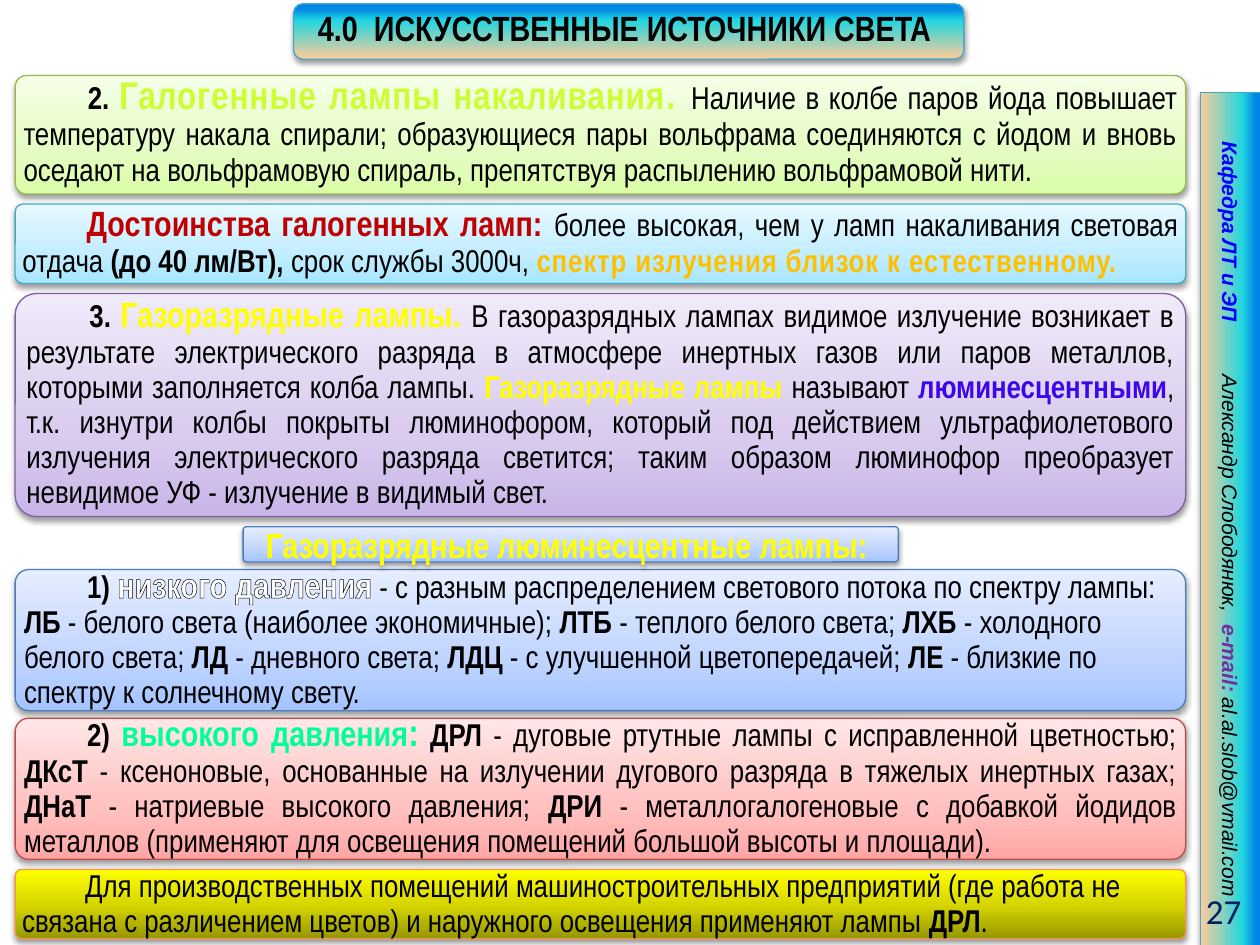
from copy import deepcopy
from dataclasses import dataclass

from pptx import Presentation
from pptx.dml.color import RGBColor
from pptx.enum.shapes import MSO_SHAPE
from pptx.enum.text import MSO_ANCHOR, PP_ALIGN
from pptx.oxml import parse_xml
from pptx.oxml.ns import nsdecls, qn
from pptx.util import Inches, Pt

RECT, ROUNDED = MSO_SHAPE.RECTANGLE, MSO_SHAPE.ROUNDED_RECTANGLE
MIDDLE = MSO_ANCHOR.MIDDLE
LEFT, CENTER, RIGHT, JUSTIFY = (PP_ALIGN.LEFT, PP_ALIGN.CENTER,
                                PP_ALIGN.RIGHT, PP_ALIGN.JUSTIFY)

rgb = RGBColor.from_string
BLACK, WHITE, RED = rgb("000000"), rgb("FFFFFF"), rgb("FF0000")
YELLOW, LIME, MINT = rgb("FFFF00"), rgb("CCFF33"), rgb("00FF99")
AMBER, CRIMSON, VIOLET = rgb("FFC000"), rgb("C00000"), rgb("3D07E9")
BLUE, PURPLE, NAVY = rgb("0000FF"), rgb("7030A0"), rgb("002060")


@dataclass
class Style:
    size: float = 18
    color: RGBColor = BLACK
    bold: bool = False
    italic: bool = False
    outline: RGBColor = None
    spacing: float = 0
    font: str = "Arial Narrow"


PLAIN, BOLD = Style(), Style(bold=True)
TITLE = Style(20, bold=True)
HALOGEN = Style(22, LIME, True, outline=BLACK, spacing=0.5)
HALOGEN_STOP = Style(22, LIME, True, outline=BLACK, spacing=1.4)
MERITS = Style(20, CRIMSON, True)
SPECTRUM = Style(18, AMBER, True, outline=BLACK, spacing=0.5)
DISCHARGE = Style(20, YELLOW, True, outline=RED)
DISCHARGE_INLINE = Style(18, YELLOW, True, outline=RED)
LUMINESCENT = Style(18, VIOLET, True, outline=RED)
LOW_PRESSURE = Style(20, WHITE, True, outline=BLACK)
HIGH_PRESSURE = Style(20, MINT, True, outline=BLACK)
HIGH_PRESSURE_COLON = Style(22, MINT, True, outline=BLACK)
DEPARTMENT = Style(12, BLUE, True, True, font="Arial")
SIDE_GAP = Style(12, BLUE, True, True, spacing=26.7, font="Arial")
AUTHOR = Style(12, italic=True, font="Arial")
MAIL_LABEL = Style(12, PURPLE, True, True, font="Arial")
PAGE_NUMBER = Style(20, NAVY, font="Calibri")

# (gradient stops from bottom to top, border colour)
SUNRISE = ([(0, "FFCC99"), (0.7, "21D6E0"), (0.91, "0087E6")], "46AAC5")
GREEN = ([(0, "DAFDA7"), (0.35, "E4FCC2"), (1, "F5FFE7")], "98B955")
CYAN = ([(0, "A7E6FF"), (0.35, "C1EDFF"), (1, "E7F8FF")], "46AAC5")
LILAC = ([(0, "C9B5E8"), (0.35, "D8CBEE"), (1, "F0EAF9")], "7D60A0")
SKY = ([(0, "A4C4FF"), (0.35, "BFD4FF"), (1, "E6EEFF")], "4B7EBC")
ROSE = ([(0, "FFA6A5"), (0.35, "FFC0BF"), (1, "FFE7E7")], "BF4C48")
GOLD = ([(0, "979700"), (0.5, "D7D700"), (1, "FFFF00")], "F79646")

heading = [("4.0  ИСКУССТВЕННЫЕ ИСТОЧНИКИ СВЕТА ", TITLE)]
subheading = [("Газоразрядные люминесцентные лампы: ", DISCHARGE)]
sidebar_text = [
    ("Кафедра ЛТ и ЭП", DEPARTMENT), (" ", SIDE_GAP),
    ("Александр Слободянюк,  ", AUTHOR), ("e-mail: ", MAIL_LABEL),
    ("al.al.slob@vmail.com", AUTHOR),
]

# (top, height, palette, alignment, first-line indent, runs)
cards = [
    (0.6, 0.94, GREEN, JUSTIFY, 0.51, [
        ("2. ", BOLD), ("Галогенные лампы накаливания", HALOGEN), (". ", HALOGEN_STOP),
        ("Наличие в колбе паров йода повышает температуру накала спирали; "
         "образующиеся пары вольфрама соединяются с йодом и вновь оседают на "
         "вольфрамовую спираль, препятствуя распылению вольфрамовой нити. ", PLAIN)]),
    (1.62, 0.63, CYAN, JUSTIFY, 0.51, [
        ("Достоинства галогенных ламп: ", MERITS),
        ("более высокая, чем у ламп накаливания световая отдача ", PLAIN),
        ("(до 40 лм/Вт), ", BOLD), ("срок службы 3000ч, ", PLAIN),
        ("спектр излучения близок к естественному. ", SPECTRUM)]),
    (2.33, 1.77, LILAC, JUSTIFY, 0.5, [
        ("3. ", BOLD), ("Газоразрядные лампы. ", DISCHARGE),
        ("В газоразрядных лампах видимое излучение возникает в результате "
         "электрического разряда в атмосфере инертных газов или паров металлов, "
         "которыми заполняется колба лампы. ", PLAIN),
        ("Газоразрядные лампы ", DISCHARGE_INLINE), ("называют ", PLAIN),
        ("люминесцентными", LUMINESCENT),
        (", т.к. изнутри колбы покрыты люминофором, который под действием "
         "ультрафиолетового излучения электрического разряда светится; таким образом "
         "люминофор преобразует невидимое УФ - излучение в видимый свет. ", PLAIN)]),
    (4.52, 1.12, SKY, LEFT, 0.5, [
        ("1) ", BOLD), ("низкого давления", LOW_PRESSURE),
        (" - с разным распределением светового потока по спектру лампы: ", PLAIN),
        ("ЛБ", BOLD), (" - белого света (наиболее экономичные); ", PLAIN),
        ("ЛТБ", BOLD), (" - теплого белого света;", PLAIN),
        (" ЛХБ ", BOLD), ("- холодного белого света; ", PLAIN),
        ("ЛД", BOLD), (" - дневного света; ", PLAIN),
        ("ЛДЦ", BOLD), (" - с улучшенной цветопередачей; ", PLAIN),
        ("ЛЕ", BOLD), (" - близкие по спектру к солнечному свету.", PLAIN)]),
    (5.7, 1.12, ROSE, JUSTIFY, 0.5, [
        ("2) ", BOLD), ("высокого давления", HIGH_PRESSURE),
        (":", HIGH_PRESSURE_COLON), (" ", PLAIN), ("ДРЛ", BOLD),
        (" - дуговые ртутные лампы с исправленной цветностью; ", PLAIN),
        ("ДКсТ", BOLD),
        (" - ксеноновые, основанные на излучении дугового разряда в тяжелых "
         "инертных газах; ", PLAIN),
        ("ДHаТ", BOLD), (" - натриевые высокого давления; ", PLAIN),
        ("ДРИ", BOLD),
        (" - металлогалогеновые с добавкой йодидов металлов (применяют для освещения "
         "помещений большой высоты и площади).", PLAIN)]),
    (6.9, 0.55, GOLD, LEFT, 0.5, [
        ("Для производственных помещений машиностроительных предприятий (где работа "
         "не связана с различением цветов) и наружного освещения применяют лампы ", PLAIN),
        ("ДРЛ", BOLD), (".", PLAIN)]),
]


def write(shape, runs, align, indent=0, line_pitch=None, inset=None):
    frame = shape.text_frame
    frame.word_wrap = True
    frame.vertical_anchor = MIDDLE
    if inset is not None:
        frame.margin_left = frame.margin_right = Inches(inset)
        frame.margin_top = frame.margin_bottom = Inches(inset)
    paragraph = frame.paragraphs[0]
    paragraph.alignment = align
    if line_pitch:
        paragraph.line_spacing = Pt(line_pitch)
    if indent:
        properties = paragraph._p.get_or_add_pPr()
        properties.set("marL", "0")
        properties.set("indent", str(Inches(indent)))
    for text, style in runs:
        run = paragraph.add_run()
        run.text = text
        font = run.font
        font.name, font.size = style.font, Pt(style.size)
        font.bold, font.italic = style.bold, style.italic
        font.color.rgb = style.color
        if style.spacing:
            font._element.set("spc", str(round(style.spacing * 100)))
        if style.outline is not None:
            font._element.insert(0, parse_xml(
                f'<a:ln {nsdecls("a")} w="{Pt(1)}"><a:solidFill>'
                f'<a:srgbClr val="{style.outline}"/></a:solidFill></a:ln>'))


def add_panel(slide, kind, box, palette):
    """Add a shape with a vertical gradient, a thin border and a soft shadow."""
    panel = slide.shapes.add_shape(kind, *map(Inches, box))
    stops, border = palette
    panel.fill.gradient()
    panel.fill.gradient_angle = 90
    stop_list = panel._element.spPr.find(qn("a:gradFill")).find(qn("a:gsLst"))
    stop_list.append(deepcopy(stop_list[-1]))
    for stop, (position, color) in zip(panel.fill.gradient_stops, stops):
        stop.position = position
        stop.color.rgb = rgb(color)
    panel.line.color.rgb = rgb(border)
    panel.line.width = Pt(0.75)
    panel.shadow.inherit = False
    panel._element.spPr.find(qn("a:effectLst")).append(parse_xml(
        f'<a:outerShdw {nsdecls("a")} blurRad="40000" dist="20000" dir="5400000" '
        'rotWithShape="0"><a:srgbClr val="000000"><a:alpha val="38000"/>'
        '</a:srgbClr></a:outerShdw>'))
    return panel


def main():
    deck = Presentation()
    deck.slide_width, deck.slide_height = Inches(10), Inches(7.5)
    slide = deck.slides.add_slide(deck.slide_layouts[6])

    sidebar = add_panel(slide, RECT, (6.38, 3.88, 6.77, 0.48), SUNRISE)
    sidebar.rotation = 90
    write(sidebar, sidebar_text, CENTER)
    number = slide.shapes.add_textbox(*map(Inches, (8.86, 7.03, 1.09, 0.4)))
    write(number, [("27", PAGE_NUMBER)], RIGHT)

    for top, height, palette, align, indent, runs in cards:
        card = add_panel(slide, ROUNDED, (0.12, top, 9.29, height), palette)
        card.adjustments[0] = 0.096
        write(card, runs, align, indent, line_pitch=20, inset=0.04)

    caption = add_panel(slide, ROUNDED, (1.93, 4.18, 5.2, 0.28), SKY)
    caption.adjustments[0] = 0.096
    write(caption, subheading, CENTER, inset=0.04)
    banner = add_panel(slide, ROUNDED, (2.33, 0.03, 5.32, 0.44), SUNRISE)
    write(banner, heading, CENTER, line_pitch=20, inset=0.04)

    deck.save("out.pptx")


if __name__ == "__main__":
    main()
